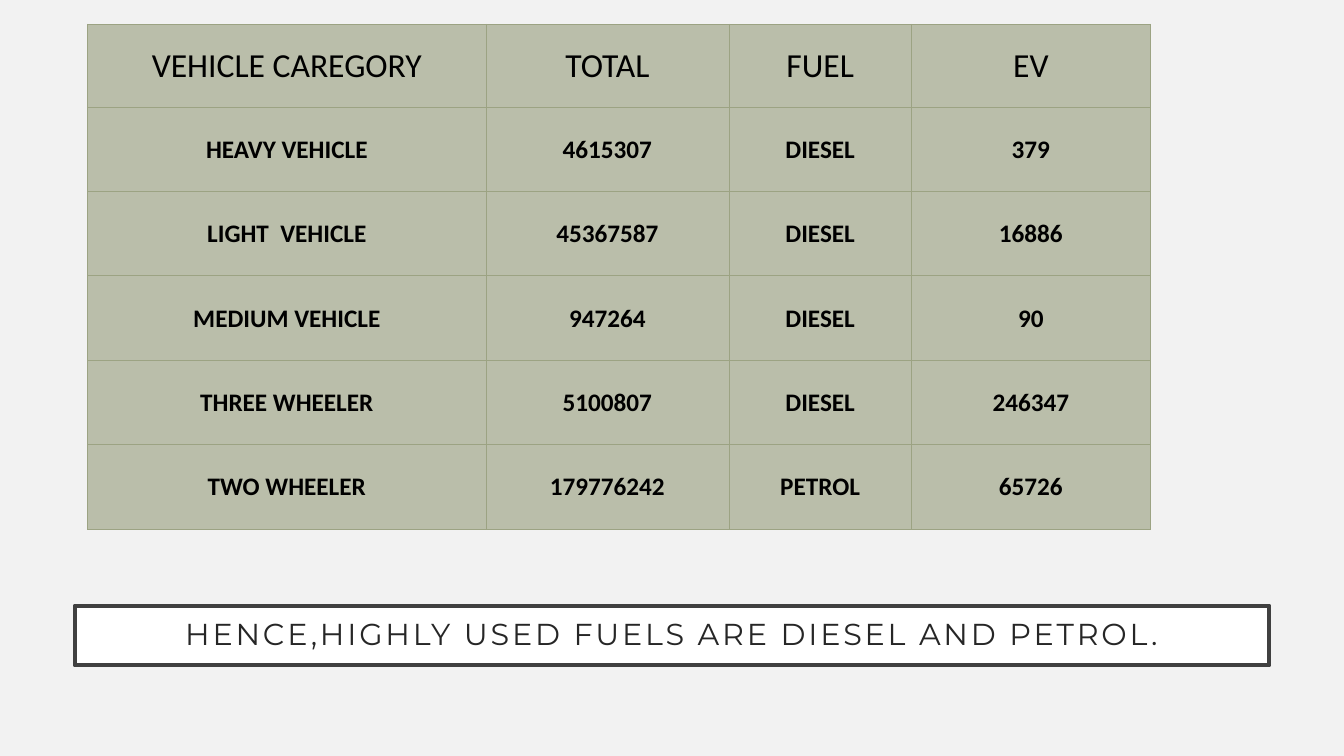
import pptx
import pptx.dml.color
import pptx.enum.shapes
import pptx.enum.text
import pptx.oxml
import pptx.oxml.ns
import pptx.util

Inches = pptx.util.Inches
Pt = pptx.util.Pt
RGBColor = pptx.dml.color.RGBColor

BACKGROUND = RGBColor(0xF2, 0xF2, 0xF2)
WHITE = RGBColor(0xFF, 0xFF, 0xFF)
BLACK = RGBColor(0x00, 0x00, 0x00)
CHARCOAL = RGBColor(0x26, 0x26, 0x26)
FRAME = RGBColor(0x40, 0x40, 0x40)
SAGE = RGBColor(0xBA, 0xBE, 0xAA)
BORDER = RGBColor(0x9C, 0xA3, 0x83)

HEADER_FONT = {"name": "Calibri", "size": Pt(24), "bold": False}
BODY_FONT = {"name": "Calibri", "size": Pt(18), "bold": True}
CONCLUSION_FONT = {"name": "Montserrat", "size": Pt(21.6), "bold": False}
CELL_FORMAT = {
    "margin_left": Inches(0.01),
    "margin_top": Inches(0.01),
    "margin_right": Inches(0.01),
    "margin_bottom": Inches(0),
    "vertical_anchor": pptx.enum.text.MSO_ANCHOR.MIDDLE,
}
CONCLUSION_FORMAT = {
    "margin_left": Inches(0.3),
    "margin_top": Inches(0.2),
    "margin_right": Inches(0.3),
    "margin_bottom": Inches(0.2),
    "vertical_anchor": pptx.enum.text.MSO_ANCHOR.MIDDLE,
    "word_wrap": True,
}

COLUMN_WIDTHS = [3.95, 2.41, 1.81, 2.37]
HEADER_HEIGHT = 0.82
VEHICLE_ROWS = [
    ("VEHICLE CAREGORY", "TOTAL", "FUEL", "EV"),
    ("HEAVY VEHICLE", "4615307", "DIESEL", "379"),
    ("LIGHT  VEHICLE", "45367587", "DIESEL", "16886"),
    ("MEDIUM VEHICLE", "947264", "DIESEL", "90"),
    ("THREE WHEELER", "5100807", "DIESEL", "246347"),
    ("TWO WHEELER", "179776242", "PETROL", "65726"),
]


def apply_format(target, values):
    for name, value in values.items():
        setattr(target, name, value)


def write_text(text_frame, text, font_format, color):
    paragraph = text_frame.paragraphs[0]
    paragraph.alignment = pptx.enum.text.PP_ALIGN.CENTER
    run = paragraph.add_run()
    run.text = text
    apply_format(run.font, font_format)
    run.font.color.rgb = color
    return paragraph, run


def add_cell_borders(cell):
    properties = cell._tc.get_or_add_tcPr()
    for position, side in enumerate(("lnL", "lnR", "lnT", "lnB")):
        border = pptx.oxml.parse_xml(
            f'<a:{side} {pptx.oxml.ns.nsdecls("a")} w="{Pt(0.5)}">'
            f'<a:solidFill><a:srgbClr val="{BORDER}"/></a:solidFill></a:{side}>'
        )
        properties.insert(position, border)


def add_vehicle_table(slide, left, top, width, height):
    table = slide.shapes.add_table(
        len(VEHICLE_ROWS), len(COLUMN_WIDTHS),
        Inches(left), Inches(top), Inches(width), Inches(height),
    ).table
    for column, share in zip(table.columns, COLUMN_WIDTHS):
        column.width = Inches(width * share / sum(COLUMN_WIDTHS))
    body_height = (height - HEADER_HEIGHT) / (len(VEHICLE_ROWS) - 1)
    for row_index, values in enumerate(VEHICLE_ROWS):
        is_header = row_index == 0
        table.rows[row_index].height = Inches(HEADER_HEIGHT if is_header else body_height)
        for column_index, text in enumerate(values):
            cell = table.cell(row_index, column_index)
            apply_format(cell, CELL_FORMAT)
            cell.fill.solid()
            cell.fill.fore_color.rgb = SAGE
            add_cell_borders(cell)
            write_text(cell.text_frame, text, HEADER_FONT if is_header else BODY_FONT, BLACK)


def add_conclusion(slide, left, top, width, height):
    shape = slide.shapes.add_shape(
        pptx.enum.shapes.MSO_SHAPE.RECTANGLE,
        Inches(left), Inches(top), Inches(width), Inches(height),
    )
    shape.shadow.inherit = False
    shape.fill.solid()
    shape.fill.fore_color.rgb = WHITE
    shape.line.color.rgb = FRAME
    shape.line.width = Pt(3)
    apply_format(shape.text_frame, CONCLUSION_FORMAT)
    paragraph, run = write_text(
        shape.text_frame, "HENCE,HIGHLY USED FUELS ARE DIESEL AND PETROL.",
        CONCLUSION_FONT, CHARCOAL,
    )
    paragraph.line_spacing = 0.9
    run._r.get_or_add_rPr().set("spc", "200")


def main():
    presentation = pptx.Presentation()
    presentation.slide_width = Inches(13.33)
    presentation.slide_height = Inches(7.5)
    slide = presentation.slides.add_slide(presentation.slide_layouts[6])
    slide.background.fill.solid()
    slide.background.fill.fore_color.rgb = BACKGROUND
    add_conclusion(slide, 0.74, 6.01, 11.85, 0.59)
    add_vehicle_table(slide, 0.87, 0.24, 10.54, 5.01)
    presentation.save("out.pptx")


if __name__ == "__main__":
    main()
